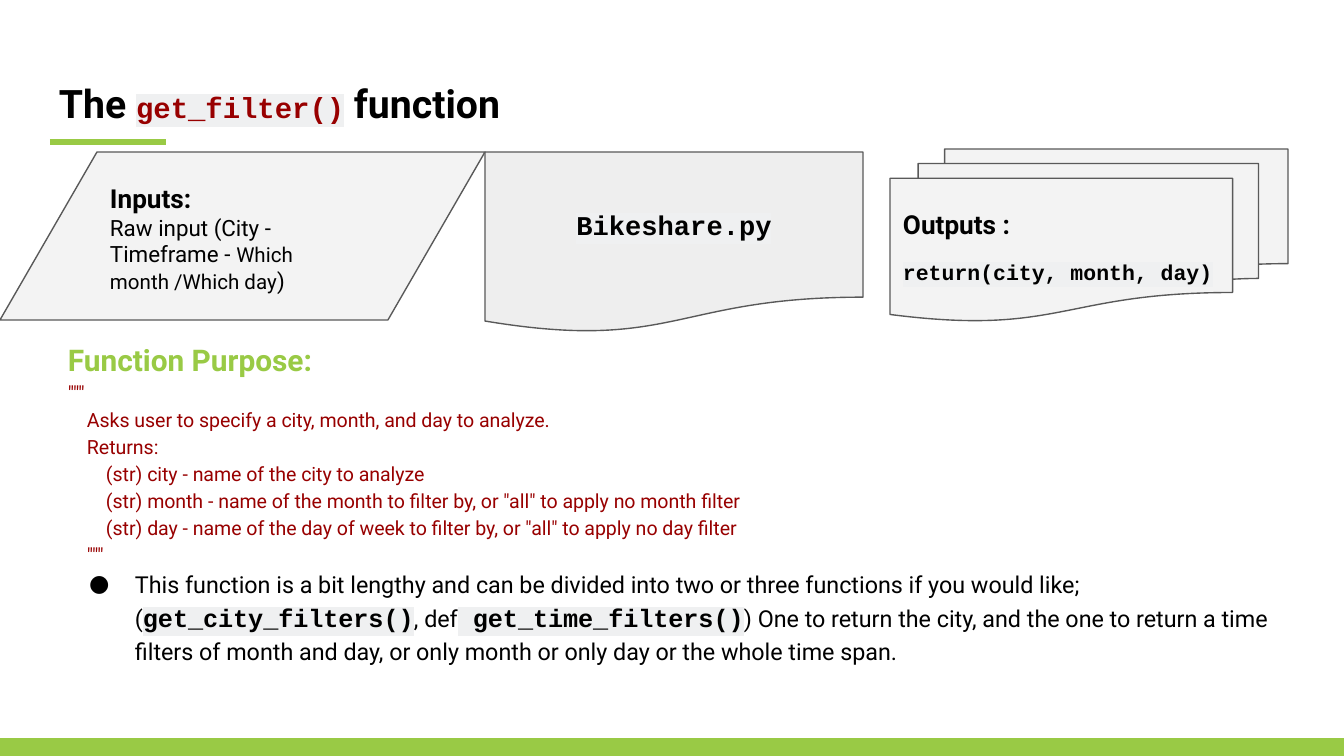
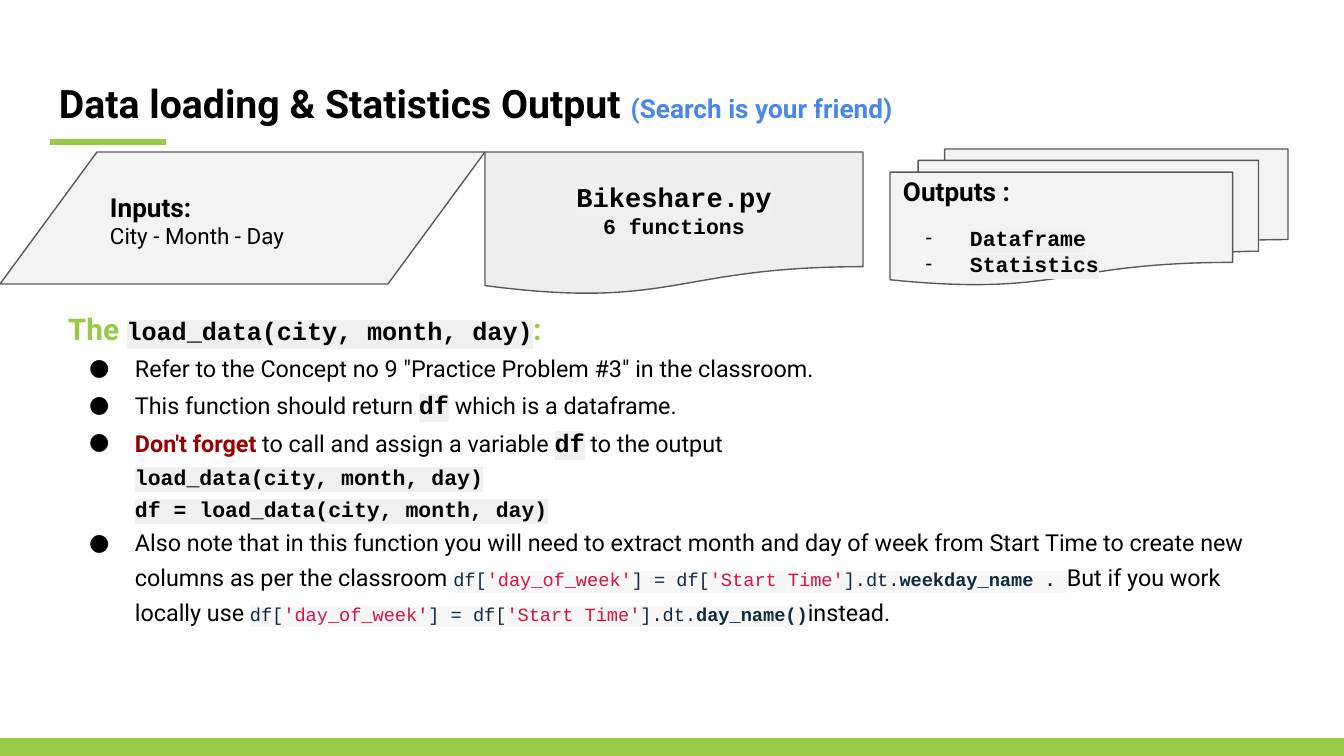
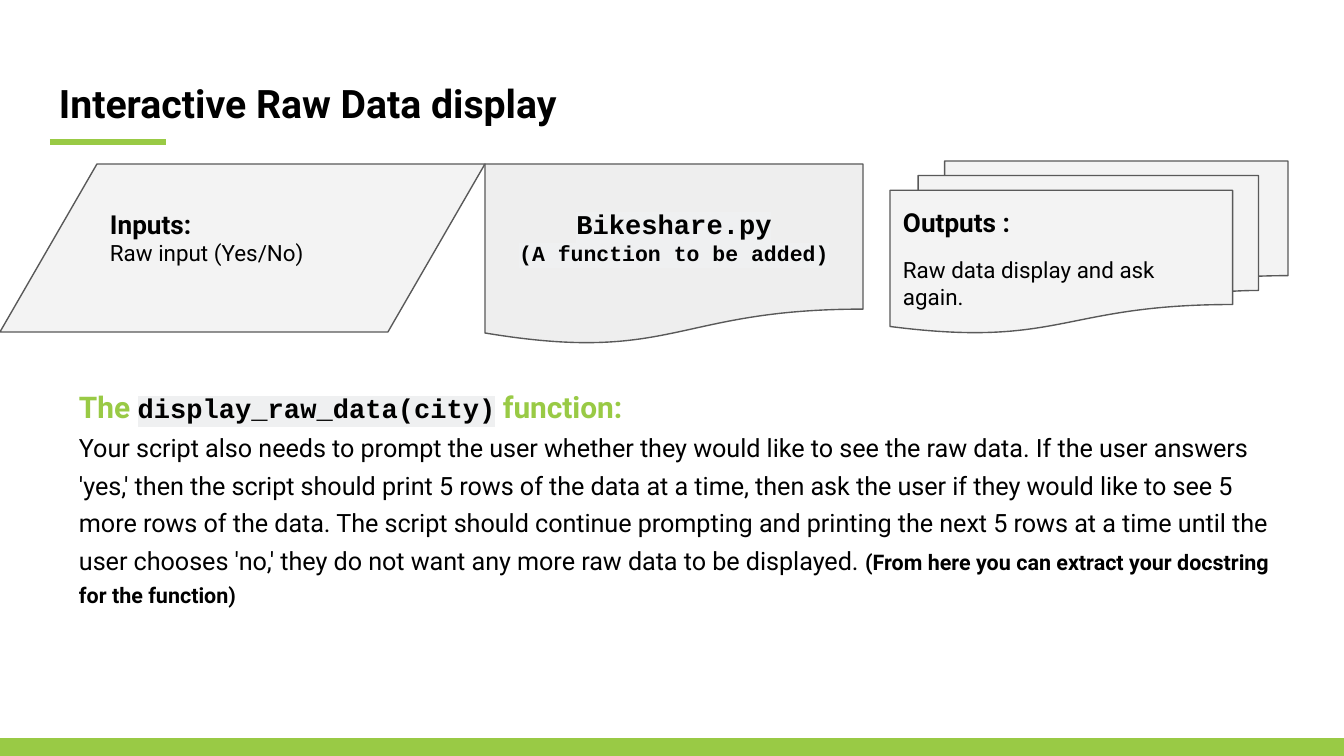
from collections import namedtuple
from dataclasses import dataclass

from lxml.etree import SubElement
from pptx import Presentation
from pptx.dml.color import RGBColor
from pptx.enum.shapes import MSO_CONNECTOR as Connector, MSO_SHAPE as Shape
from pptx.enum.text import MSO_ANCHOR as Anchor, PP_ALIGN as Align
from pptx.oxml.ns import qn
from pptx.util import Emu, Pt

SANS, MONO = "Roboto", "Courier New"
GREEN, INK, RED, BLUE = "99CA45", "000000", "980000", "4A86E8"
PALE, GREY, OUTLINE = "F3F3F3", "EEEEEE", "595959"
MARK, CODE_MARK, NAVY, PINK = "EFF0F1", "F7F7F8", "0F2B3D", "DD1144"
INSET, INDENT, HANG, DOC_STEP = 13, 67, 46, 19
SCALE = 914400 / 134.4

Box = namedtuple("Box", "left top width height")
Span = namedtuple("Span", "text size color bold font mark")


@dataclass
class Para:
    spans: list
    spacing: float = 1.0
    before: int = 0
    align: Align = Align.LEFT
    indent: int = 0
    hang: int = 0
    bullet: str = ""


def px(count):
    return Emu(round(count * SCALE))


def rgb(value):
    return RGBColor.from_string(value)


def plain(text, size, color=INK, bold=False):
    return Span(text, size, color, bold, SANS, None)


def strong(text, size, color=INK):
    return plain(text, size, color, True)


def code(text, size, color=INK, bold=True, mark=MARK):
    return Span(text, size, color, bold, MONO, mark)


def bullet_para(spans, spacing):
    return Para(spans, spacing, indent=INDENT, hang=HANG, bullet="●")


def weekday_code(ending):
    parts = [("df[", NAVY), ("'day_of_week'", PINK), ("] = df[", NAVY),
             ("'Start Time'", PINK), ("].dt.", NAVY)]
    spans = [code(text, 10, color, False, CODE_MARK) for text, color in parts]
    return spans + [code(ending, 10, NAVY, True, CODE_MARK)]


def add_span(paragraph, span):
    run = paragraph.add_run()
    run.text = span.text
    font = run.font
    font.size, font.bold = Pt(span.size), span.bold
    font.color.rgb = rgb(span.color)
    if span.mark:
        highlight = SubElement(run._r.get_or_add_rPr(), qn("a:highlight"))
        SubElement(highlight, qn("a:srgbClr"), val=span.mark)
    font.name = span.font


def add_bullet(properties, mark):
    color = SubElement(properties, qn("a:buClr"))
    SubElement(color, qn("a:srgbClr"), val=INK)
    SubElement(properties, qn("a:buFont"), typeface=SANS)
    SubElement(properties, qn("a:buChar"), char=mark)


def write(frame, paras, anchor=Anchor.TOP, bottom=INSET):
    frame.word_wrap = True
    frame.vertical_anchor = anchor
    frame.margin_left = frame.margin_top = frame.margin_right = px(INSET)
    frame.margin_bottom = px(bottom)
    for index, para in enumerate(paras):
        paragraph = frame.add_paragraph() if index else frame.paragraphs[0]
        paragraph.alignment = para.align
        paragraph.line_spacing = para.spacing
        paragraph.space_before = Pt(para.before)
        properties = paragraph._p.get_or_add_pPr()
        properties.set("marL", str(px(para.indent)))
        properties.set("indent", str(px(-para.hang)))
        if para.bullet:
            add_bullet(properties, para.bullet)
        for span in para.spans:
            add_span(paragraph, span)


def add_text(page, box, paras):
    write(page.shapes.add_textbox(*map(px, box)).text_frame, paras)


def add_block(page, kind, box, fill, line):
    block = page.shapes.add_shape(kind, *map(px, box))
    block.shadow.inherit = False
    block.fill.solid()
    block.fill.fore_color.rgb = rgb(fill)
    block.line.color.rgb = rgb(line)
    block.line.width = Pt(0.75)
    return block


def add_heading(page, box, spans):
    add_text(page, box, [Para(spans)])
    left, top = box.left + 4, box.top + 76
    rule = page.shapes.add_connector(
        Connector.STRAIGHT, px(left), px(top), px(left + 116), px(top))
    rule.line.color.rgb = rgb(GREEN)
    rule.line.width = Pt(3)
    SubElement(rule._element.spPr, qn("a:effectLst"))


def add_footer(page, box):
    for shift in (3, 0):
        band = Box(box.left + shift, box.top, box.width - shift, box.height)
        add_block(page, Shape.RECTANGLE, band, GREEN, GREEN)


def add_flow(page, box, inputs, process, outputs, input_bottom=INSET):
    left, top, width, height = box
    output_box = Box(left + width - 398, top, 398, height)
    input_box = Box(left, top + 3, 485, height - 4)
    process_box = Box(left + 485, top + 3, 378, round(height * 1.05))
    input_head = Para([strong("Inputs:", 14)], 1.15)
    process_head = Para([code("Bikeshare.py", 14.5)], align=Align.CENTER)
    output_head = Para([strong("Outputs :", 14)])
    steps = [
        (Shape.FLOWCHART_MULTIDOCUMENT, output_box, PALE, [output_head] + outputs, INSET),
        (Shape.FLOWCHART_DATA, input_box, PALE, [input_head, Para(inputs)], input_bottom),
        (Shape.FLOWCHART_DOCUMENT, process_box, GREY, [process_head] + process, INSET),
    ]
    for kind, step_box, fill, paras, bottom in steps:
        block = add_block(page, kind, step_box, fill, OUTLINE)
        write(block.text_frame, paras, Anchor.MIDDLE, bottom)


def add_page(deck, title):
    page = deck.slides.add_slide(deck.slide_layouts[6])
    add_heading(page, Box(46, 66, 1253, 85), title)
    add_footer(page, Box(0, 739, 1344, 17))
    return page


def add_filter_page(deck):
    page = add_page(deck, [strong("The ", 21), code("get_filter()", 15.5, RED),
                           strong(" function", 21)])
    add_flow(
        page, Box(0, 149, 1288, 172),
        inputs=[plain("Raw input (City - Timeframe - ", 12),
                plain("Which month /Which day", 11), plain(")", 12)],
        process=[],
        outputs=[Para([code("return(city, month, day)", 11.5)], before=10)])
    docstring = [
        (0, '"""'),
        (1, "Asks user to specify a city, month, and day to analyze."),
        (1, "Returns:"),
        (2, "(str) city - name of the city to analyze"),
        (2, '(str) month - name of the month to filter by, or "all" to apply no month filter'),
        (2, '(str) day - name of the day of week to filter by, or "all" to apply no day filter'),
        (1, '"""'),
    ]
    purpose = Para([strong("Function Purpose:", 16, GREEN)], 1.15)
    lines = [Para([plain(text, 10.5, RED)], 1.15, indent=level * DOC_STEP)
             for level, text in docstring]
    advice = bullet_para([
        plain("This function is a bit lengthy and can be divided into two or three "
              "functions if you would like; (", 12.5),
        code("get_city_filters()", 13.5),
        plain(", def", 12.5),
        code(" get_time_filters()", 13.5),
        plain(") One to return the city, and the one to return a time filters of month "
              "and day, or only month or only day or the whole time span.", 12.5),
    ], 1.15)
    add_text(page, Box(55, 323, 1232, 344), [purpose, *lines, advice])


def add_loading_page(deck):
    page = add_page(deck, [strong("Data loading & Statistics Output ", 21),
                           strong("(Search is your friend)", 14, BLUE)])
    add_flow(
        page, Box(0, 149, 1288, 136),
        inputs=[plain("City - Month - Day", 12)],
        process=[Para([code("6 functions", 11.5)], align=Align.CENTER)],
        outputs=[Para([code(text, 11.5)], before=before, indent=INDENT, hang=44, bullet="-")
                 for text, before in (("Dataframe", 10), ("Statistics", 0))])
    call = "load_data(city, month, day)"
    heading = Para([strong("The ", 16, GREEN), code(call, 13.5),
                    strong(":", 16, GREEN)], 1.25)
    notes = [
        [plain('Refer to the Concept no 9 "Practice Problem #3" in the classroom.', 12.5)],
        [plain("This function should return ", 12.5), code("df", 13.5),
         plain(" which is a dataframe.", 12.5)],
        [strong("Don't forget", 12.5, RED),
         plain(" to call and assign a variable ", 12.5), code("df", 13.5),
         plain(" to the output", 12.5)],
    ]
    examples = [Para([code(text, 11.5)], 1.25, indent=INDENT)
                for text in (call, "df = " + call)]
    weekday = bullet_para([
        plain("Also note that in this function you will need to extract month and day of "
              "week from Start Time to create new columns as per the classroom ", 12.5),
        *weekday_code("weekday_name . "),
        plain("But if you work locally use ", 12.5),
        *weekday_code("day_name()"),
        plain("instead.", 12.5),
    ], 1.25)
    add_text(page, Box(55, 289, 1232, 353),
             [heading, *(bullet_para(note, 1.25) for note in notes), *examples, weekday])


def add_display_page(deck):
    page = add_page(deck, [strong("Interactive Raw Data display", 21)])
    add_flow(
        page, Box(0, 161, 1288, 172),
        inputs=[plain("Raw input (Yes/No)", 12)],
        process=[Para([code("(A function to be added)", 11.5)], align=Align.CENTER)],
        outputs=[Para([plain("Raw data display and ask again.", 12)], before=10)],
        input_bottom=39)
    heading = Para([strong("The ", 16, GREEN), code("display_raw_data(city)", 14.5),
                    strong(" function:", 16, GREEN)], 1.25)
    task = Para([
        plain("Your script also needs to prompt the user whether they would like to see "
              "the raw data. If the user answers 'yes,' then the script should print 5 "
              "rows of the data at a time, then ask the user if they would like to see 5 "
              "more rows of the data. The script should continue prompting and printing "
              "the next 5 rows at a time until the user chooses 'no,' they do not want "
              "any more raw data to be displayed. ", 13.5),
        strong("(From here you can extract your docstring for the function)", 11.5),
    ], 1.25)
    add_text(page, Box(66, 367, 1232, 222), [heading, task])


def main():
    deck = Presentation()
    deck.slide_width, deck.slide_height = px(1344), px(756)
    add_filter_page(deck)
    add_loading_page(deck)
    add_display_page(deck)
    deck.save("out.pptx")


if __name__ == "__main__":
    main()
